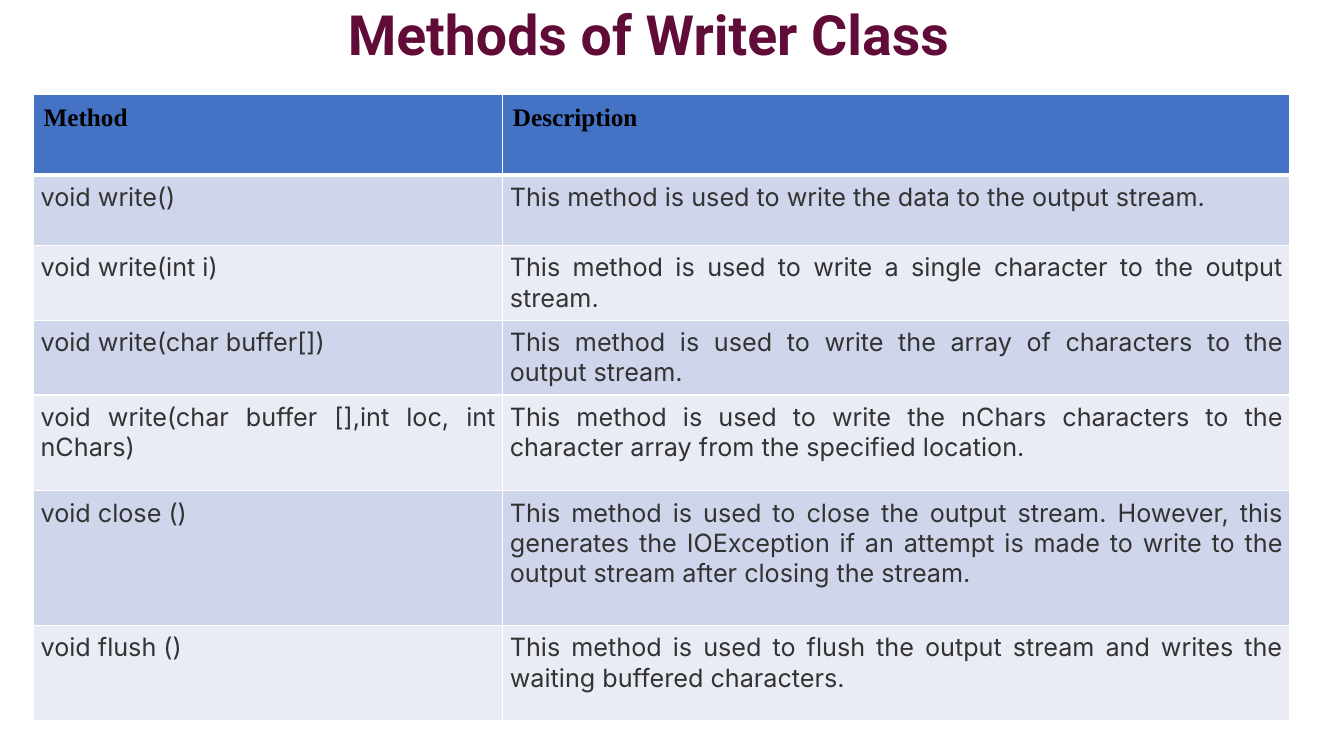
from dataclasses import dataclass

from lxml import etree
from pptx import Presentation
from pptx.dml.color import RGBColor
from pptx.enum.text import MSO_ANCHOR, MSO_AUTO_SIZE, PP_ALIGN
from pptx.oxml.ns import qn
from pptx.util import Pt

CENTER, JUSTIFY, LEFT = PP_ALIGN.CENTER, PP_ALIGN.JUSTIFY, PP_ALIGN.LEFT
MIDDLE, TOP = MSO_ANCHOR.MIDDLE, MSO_ANCHOR.TOP
FIXED = MSO_AUTO_SIZE.NONE


@dataclass(frozen=True)
class Font:
    name: str
    size: float
    color: str
    bold: bool = False


@dataclass(frozen=True)
class Theme:
    title: Font = Font("Roboto", 39.6, "610B38", True)
    head: Font = Font("Times New Roman", 18, "000000", True)
    body: Font = Font("Inter", 18, "333333")
    paper: str = "FFFFFF"
    fill: str = "4472C4"
    bands: tuple = ("CFD5EA", "E9EBF5")


class Deck:
    def __init__(self, theme):
        self.theme = theme
        self.file = Presentation()
        self.file.slide_width, self.file.slide_height = Pt(960), Pt(540)
        self.slide = self.file.slides.add_slide(self.file.slide_layouts[5])
        back = self.slide.background.fill
        back.solid()
        back.fore_color.rgb = RGBColor.from_string(theme.paper)

    def add_text(self, frame, text, font, align):
        para = frame.paragraphs[0]
        para.alignment = align
        run = para.add_run()
        run.text = text
        run.font.name = font.name
        run.font.size = Pt(font.size)
        run.font.bold = font.bold
        run.font.color.rgb = RGBColor.from_string(font.color)
        return para

    def title(self, text, left, top, width, height):
        shape = self.slide.shapes.title
        shape.left, shape.top = Pt(left), Pt(top)
        shape.width, shape.height = Pt(width), Pt(height)
        frame = shape.text_frame
        frame.word_wrap = True
        frame.auto_size = FIXED
        frame.vertical_anchor = MIDDLE
        para = self.add_text(frame, text, self.theme.title, CENTER)
        para.line_spacing = 0.9

    def border(self, cell, side, width):
        props = cell._tc.get_or_add_tcPr()
        line = etree.SubElement(props, qn(f"a:ln{side}"), w=str(Pt(width)))
        fill = etree.SubElement(line, qn("a:solidFill"))
        etree.SubElement(fill, qn("a:srgbClr"), val=self.theme.paper)

    def cell(self, cell, text, font, align, fill, pad, edges):
        for side, width in edges.items():
            self.border(cell, side, width)
        cell.fill.solid()
        cell.fill.fore_color.rgb = RGBColor.from_string(fill)
        cell.margin_left = cell.margin_right = Pt(pad)
        cell.margin_top = cell.margin_bottom = Pt(pad)
        cell.vertical_anchor = TOP
        self.add_text(cell.text_frame, text, font, align)

    def table(self, rows, left, top, widths, heights):
        look = self.theme
        table = self.slide.shapes.add_table(
            len(rows), len(widths), Pt(left), Pt(top),
            Pt(sum(widths)), Pt(sum(heights))).table
        for column, width in zip(table.columns, widths):
            column.width = Pt(width)
        for r, (row, height) in enumerate(zip(rows, heights)):
            table.rows[r].height = Pt(height)
            if r == 0:
                style = look.head, LEFT, look.fill, 7.2
            else:
                style = look.body, JUSTIFY, look.bands[(r - 1) % 2], 5
            edges = {"L": 1, "R": 1, "T": 3 if r == 1 else 1,
                     "B": 3 if r == 0 else 1}
            for c, text in enumerate(row):
                self.cell(table.cell(r, c), text, *style, edges)


METHODS = [
    ("Method", "Description"),
    ("void write()",
     "This method is used to write the data to the output stream."),
    ("void write(int i)",
     "This method is used to write a single character to the output stream."),
    ("void write(char buffer[])",
     "This method is used to write the array of characters to the output "
     "stream."),
    ("void write(char buffer [],int loc, int nChars)",
     "This method is used to write the nChars characters to the character "
     "array from the specified location."),
    ("void close ()",
     "This method is used to close the output stream. However, this "
     "generates the IOException if an attempt is made to write to the "
     "output stream after closing the stream."),
    ("void flush ()",
     "This method is used to flush the output stream and writes the waiting "
     "buffered characters."),
]


def main():
    deck = Deck(Theme())
    deck.title("Methods of Writer Class", 32.4, 0, 861.8, 53.3)
    deck.table(METHODS, 24, 67.2, (335.2, 562.3),
               (57.6, 50.4, 50.4, 50.4, 68.4, 96.2, 68.4))
    deck.file.save("out.pptx")


if __name__ == "__main__":
    main()
